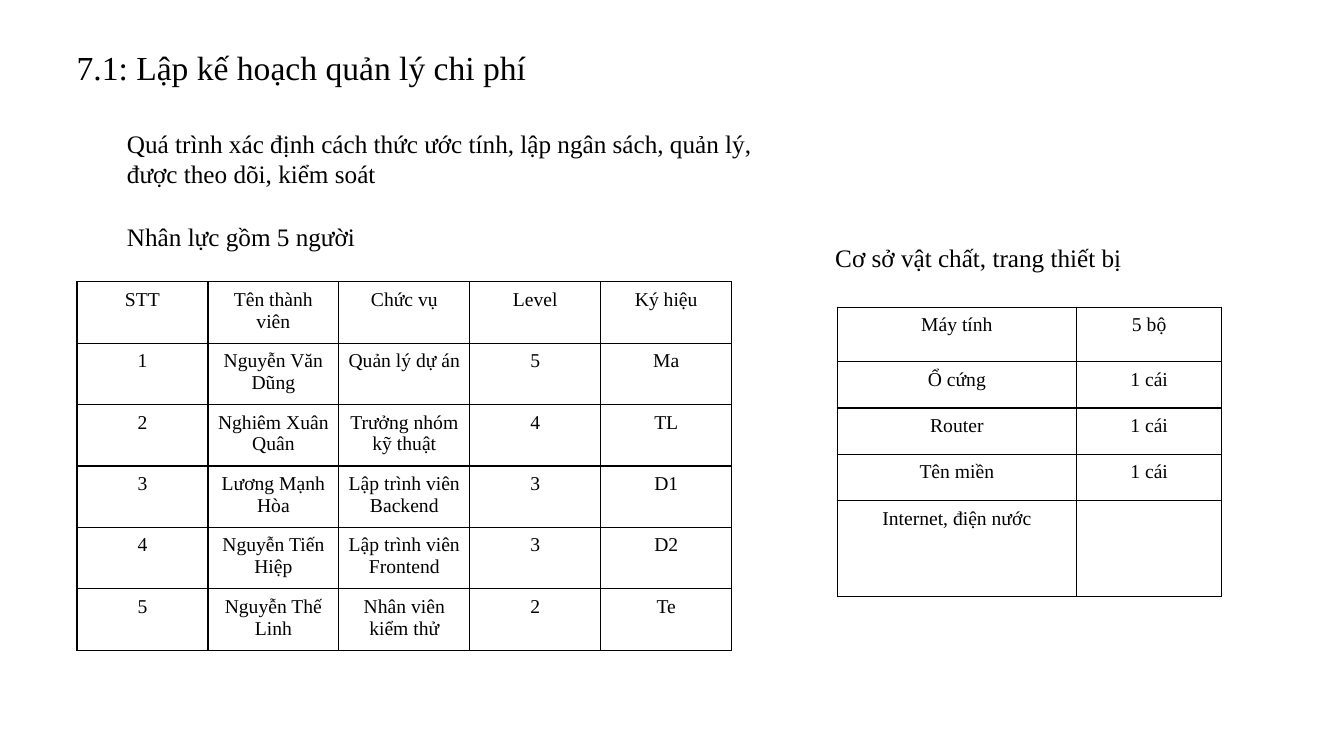
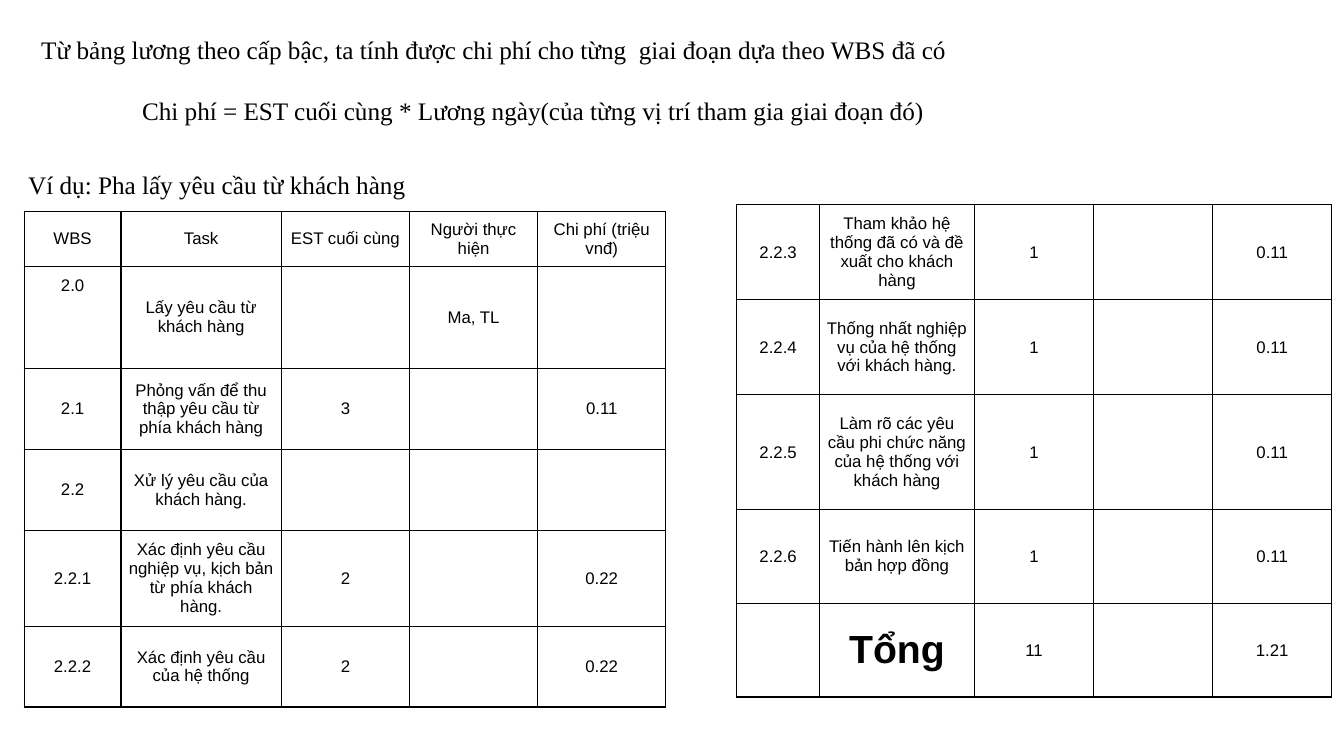
from lxml import etree
from pptx import Presentation
from pptx.dml.color import RGBColor
from pptx.enum.text import MSO_ANCHOR as Anchor, PP_ALIGN as Align
from pptx.oxml.ns import qn
from pptx.util import Cm, Pt

SERIF, SANS = "Times New Roman", "Arial"
INK, PAPER = "000000", "FFFFFF"
CELL_MARGIN = 0.18

STAFF = [
    ("STT", "Tên thành viên", "Chức vụ", "Level", "Ký hiệu"),
    ("1", "Nguyễn Văn Dũng", "Quản lý dự án", "5", "Ma"),
    ("2", "Nghiêm Xuân Quân", "Trưởng nhóm kỹ thuật", "4", "TL"),
    ("3", "Lương Mạnh Hòa", "Lập trình viên Backend", "3", "D1"),
    ("4", "Nguyễn Tiến Hiệp", "Lập trình viên Frontend", "3", "D2"),
    ("5", "Nguyễn Thế Linh", "Nhân viên kiểm thử", "2", "Te"),
]
EQUIPMENT = [
    ("Máy tính", "5 bộ"),
    ("Ổ cứng", "1 cái"),
    ("Router", "1 cái"),
    ("Tên miền", "1 cái"),
    ("Internet, điện nước", ""),
]
FIRST_TASKS = [
    ("WBS", "Task", "EST cuối cùng", "Người thực hiện", "Chi phí (triệu vnđ)"),
    ("2.0", "Lấy yêu cầu từ khách hàng", "", "Ma, TL", ""),
    ("2.1", "Phỏng vấn để thu thập yêu cầu từ phía khách hàng", "3", "", "0.11"),
    ("2.2", "Xử lý yêu cầu của khách hàng.", "", "", ""),
    ("2.2.1", "Xác định yêu cầu nghiệp vụ, kịch bản từ phía khách hàng.", "2", "", "0.22"),
    ("2.2.2", "Xác định yêu cầu của hệ thống", "2", "", "0.22"),
]
LAST_TASKS = [
    ("2.2.3", "Tham khảo hệ thống đã có và đề xuất cho khách hàng", "1", "", "0.11"),
    ("2.2.4", "Thống nhất nghiệp vụ của hệ thống với khách hàng.", "1", "", "0.11"),
    ("2.2.5", "Làm rõ các yêu cầu phi chức năng của hệ thống với khách hàng", "1", "", "0.11"),
    ("2.2.6", "Tiến hành lên kịch bản hợp đồng", "1", "", "0.11"),
    ("", "Tổng", "11", "", "1.21"),
]

STAFF_STYLE = dict(font=SERIF, size=14, anchor=Anchor.TOP)
TASK_STYLE = dict(font=SANS, size=12, anchor=Anchor.MIDDLE)

PAGES = [
    dict(
        texts=[
            (["7.1: Lập kế hoạch quản lý chi phí"], 24, (1.68, 1.07, 11.94, 2.31)),
            (["Quá trình xác định cách thức ước tính, lập ngân sách, quản lý,",
              "được theo dõi, kiểm soát"], 18, (2.95, 3.1, 16.59, 1.8)),
            (["Nhân lực gồm 5 người"], 18, (2.95, 5.46, 6.53, 1.02)),
            (["Cơ sở vật chất, trang thiết bị"], 18, (20.8, 5.97, 8.2, 1.02)),
        ],
        tables=[
            (STAFF, (1.94, 7.1), [3.3] * 5, [1.54] * 6, STAFF_STYLE),
            (EQUIPMENT, (21.1, 7.74), [6.03, 3.66], [1.37] + [1.17] * 3 + [2.41], STAFF_STYLE),
        ],
    ),
    dict(
        texts=[
            (["Từ bảng lương theo cấp bậc, ta tính được chi phí cho từng  giai đoạn dựa theo WBS đã có"],
             18, (0.79, 0.74, 23.72, 1.02)),
            (["Chi phí = EST cuối cùng * Lương ngày(của từng vị trí tham gia giai đoạn đó)"],
             18, (3.33, 2.29, 20.4, 1.02)),
            (["Ví dụ: Pha lấy yêu cầu từ khách hàng"], 18, (0.46, 4.14, 10.49, 1.02)),
        ],
        tables=[
            (FIRST_TASKS, (0.61, 5.33), [2.44, 4.04] + [3.23] * 3,
             [1.36, 2.58, 2.04, 2.04, 2.41, 2.04], TASK_STYLE),
            (LAST_TASKS, (18.57, 5.16), [2.08, 3.91] + [3] * 3,
             [2.39, 2.39, 2.9, 2.36, 2.36], TASK_STYLE),
        ],
    ),
]


def color(value):
    return RGBColor.from_string(value)


def add_span(para, text, font, size, bold=False):
    span = para.add_run()
    span.text = text
    span.font.name = font
    span.font.size = Pt(size)
    span.font.bold = bold
    span.font.color.rgb = color(INK)


def add_text(page, lines, size, place):
    box = page.shapes.add_textbox(*map(Cm, place))
    frame = box.text_frame
    frame.word_wrap = False
    for index, line in enumerate(lines):
        para = frame.add_paragraph() if index else frame.paragraphs[0]
        add_span(para, line, SERIF, size)


def add_borders(cell):
    props = cell._tc.get_or_add_tcPr()
    for index, side in enumerate(("a:lnL", "a:lnR", "a:lnT", "a:lnB")):
        line = etree.Element(qn(side), w=str(Pt(1)))
        fill = etree.SubElement(line, qn("a:solidFill"))
        etree.SubElement(fill, qn("a:srgbClr"), val=INK)
        props.insert(index, line)


def fill_cell(cell, text, font, size, anchor):
    cell.margin_left = cell.margin_right = Cm(CELL_MARGIN)
    cell.margin_top = cell.margin_bottom = Cm(CELL_MARGIN)
    cell.vertical_anchor = anchor
    cell.fill.background()
    add_borders(cell)
    if text == "2.0":
        cell.vertical_anchor = Anchor.TOP
        cell.margin_top = Cm(0.26)
    if text:
        para = cell.text_frame.paragraphs[0]
        para.alignment = Align.CENTER
        total = text == "Tổng"
        add_span(para, text, font, 28 if total else size, total)


def add_grid(page, rows, corner, widths, heights, style):
    place = (*corner, sum(widths), sum(heights))
    table = page.shapes.add_table(len(rows), len(widths), *map(Cm, place)).table
    table.first_row = table.horz_banding = False
    for column, width in zip(table.columns, widths):
        column.width = Cm(width)
    for row, height, texts in zip(table.rows, heights, rows):
        row.height = Cm(height)
        for cell, text in zip(row.cells, texts):
            fill_cell(cell, text, **style)


def main():
    deck = Presentation()
    deck.slide_width, deck.slide_height = Cm(33.87), Cm(19.05)
    for content in PAGES:
        page = deck.slides.add_slide(deck.slide_layouts[6])
        page.background.fill.solid()
        page.background.fill.fore_color.rgb = color(PAPER)
        for text in content["texts"]:
            add_text(page, *text)
        for table in content["tables"]:
            add_grid(page, *table)
    deck.save("out.pptx")


if __name__ == "__main__":
    main()
